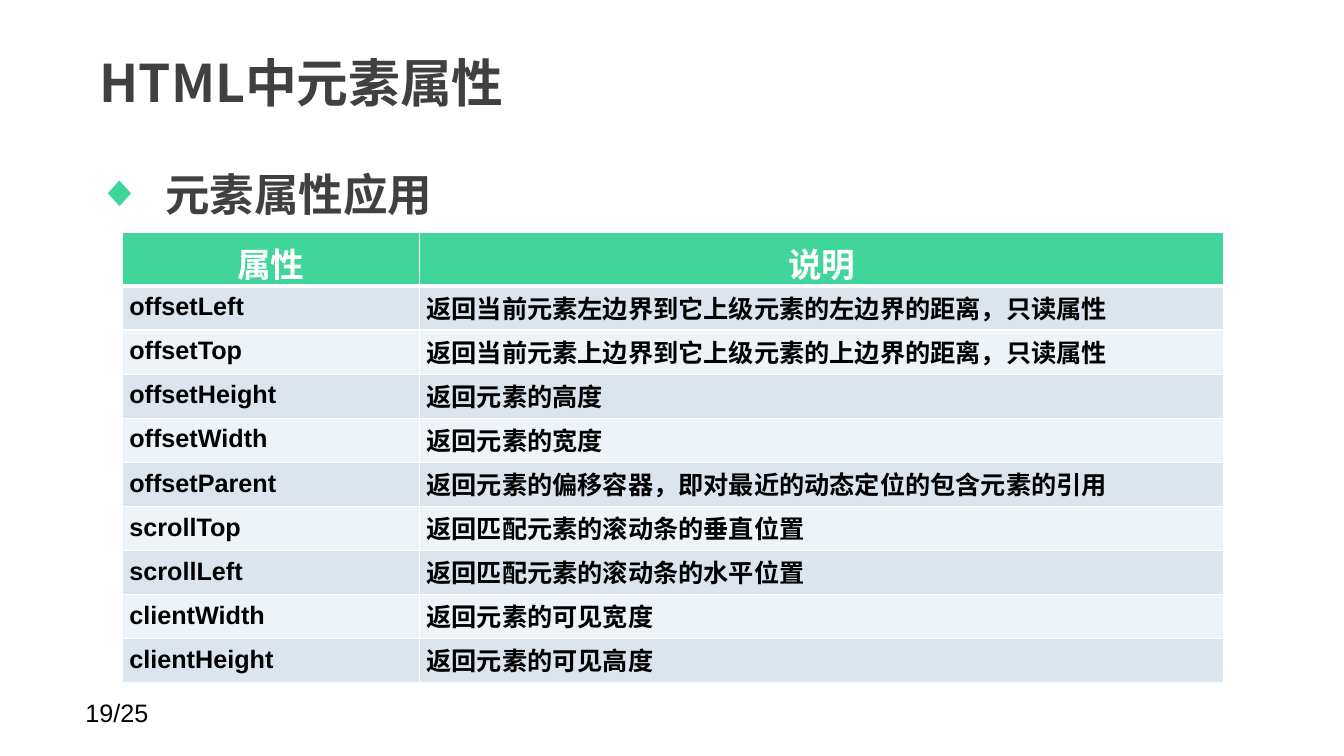
from dataclasses import dataclass

from lxml.etree import SubElement
from pptx import Presentation
from pptx.dml.color import RGBColor as Rgb
from pptx.enum.text import MSO_ANCHOR as Anchor, PP_ALIGN as Align
from pptx.oxml.ns import qn
from pptx.util import Cm, Pt


@dataclass(frozen=True)
class Theme:
    accent: str = "40D59B"
    heading: str = "404040"
    ink: str = "000000"
    white: str = "FFFFFF"
    bands: tuple = ("DCE5EE", "EEF3F7")
    latin: str = "Arial"
    cjk: str = "Noto Sans CJK SC"
    title_size: float = 37
    topic_size: float = 31.8
    header_size: float = 24
    text_size: float = 18


def write(paragraph, text, *, size, color, latin, cjk, bold=False,
          align=None, spacing=None):
    """Put formatted text into a paragraph."""
    run = paragraph.add_run()
    run.text = text
    font = run.font
    font.size, font.bold, font.name = Pt(size), bold, latin
    font.color.rgb = Rgb.from_string(color)
    SubElement(font._element, qn("a:ea")).set("typeface", cjk)
    if align is not None:
        paragraph.alignment = align
    if spacing is not None:
        paragraph.line_spacing = spacing


def add_bullet(paragraph, symbol, color, indent):
    props = paragraph._p.get_or_add_pPr()
    props.set("marL", str(indent))
    props.set("indent", str(-indent))
    tint = SubElement(props, qn("a:buClr"))
    SubElement(tint, qn("a:srgbClr")).set("val", color)
    SubElement(props, qn("a:buFont")).set("typeface", "Arial")
    SubElement(props, qn("a:buChar")).set("char", symbol)


def add_border(cell, side, color, width):
    line = SubElement(cell._tc.get_or_add_tcPr(), qn(f"a:ln{side}"))
    line.set("w", str(Pt(width)))
    fill = SubElement(line, qn("a:solidFill"))
    SubElement(fill, qn("a:srgbClr")).set("val", color)


class SlideBuilder:
    def __init__(self, slide, theme):
        self.slide, self.theme = slide, theme

    def text(self, text, box, *, margins=(0.33, 0.17), anchor=Anchor.TOP,
             bullet=None, **style):
        frame = self.slide.shapes.add_textbox(*map(Cm, box)).text_frame
        frame.word_wrap = True
        frame.vertical_anchor = anchor
        frame.margin_left = frame.margin_right = Cm(margins[0])
        frame.margin_top = frame.margin_bottom = Cm(margins[1])
        line = frame.paragraphs[0]
        write(line, text, cjk=self.theme.cjk, **style)
        if bullet:
            add_bullet(line, bullet, self.theme.accent, Cm(1.7))

    def cell(self, cell, text, *, fill, margins, anchor, rule=1, **style):
        left, top, right, bottom = map(Cm, margins)
        cell.margin_left, cell.margin_top = left, top
        cell.margin_right, cell.margin_bottom = right, bottom
        cell.vertical_anchor = anchor
        for side, width in (("L", 1), ("R", 1), ("T", 1), ("B", rule)):
            add_border(cell, side, self.theme.white, width)
        cell.fill.solid()
        cell.fill.fore_color.rgb = Rgb.from_string(fill)
        write(cell.text_frame.paragraphs[0], text, bold=True,
              latin=self.theme.latin, cjk=self.theme.cjk, **style)

    def table(self, header, rows, left, top, widths, header_height, row_height):
        theme = self.theme
        height = header_height + row_height * len(rows)
        grid = self.slide.shapes.add_table(
            len(rows) + 1, len(header),
            Cm(left), Cm(top), Cm(sum(widths)), Cm(height)).table
        for column, width in zip(grid.columns, widths):
            column.width = Cm(width)

        # Header row
        grid.rows[0].height = Cm(header_height)
        for col, label in enumerate(header):
            self.cell(grid.cell(0, col), label, fill=theme.accent,
                      margins=(0.33, 0.17, 0.33, 0.17), anchor=Anchor.TOP,
                      rule=3, size=theme.header_size, color=theme.white,
                      align=Align.CENTER)

        # Banded rows
        for row, entry in enumerate(rows, start=1):
            grid.rows[row].height = Cm(row_height)
            for col, value in enumerate(entry):
                self.cell(grid.cell(row, col), value,
                          fill=theme.bands[(row - 1) % 2],
                          margins=(0.18, 0, 0.18, 0.05), anchor=Anchor.MIDDLE,
                          size=theme.text_size, color=theme.ink,
                          align=Align.JUSTIFY)


HEADER = ("属性", "说明")
PROPERTIES = (
    ("offsetLeft", "返回当前元素左边界到它上级元素的左边界的距离，只读属性"),
    ("offsetTop", "返回当前元素上边界到它上级元素的上边界的距离，只读属性"),
    ("offsetHeight", "返回元素的高度"),
    ("offsetWidth", "返回元素的宽度"),
    ("offsetParent", "返回元素的偏移容器，即对最近的动态定位的包含元素的引用"),
    ("scrollTop", "返回匹配元素的滚动条的垂直位置"),
    ("scrollLeft", "返回匹配元素的滚动条的水平位置"),
    ("clientWidth", "返回元素的可见宽度"),
    ("clientHeight", "返回元素的可见高度"),
)


def main():
    deck = Presentation()
    deck.slide_width, deck.slide_height = Cm(33.87), Cm(19.05)
    theme = Theme()
    page = SlideBuilder(deck.slides.add_slide(deck.slide_layouts[6]), theme)

    # Page number
    page.text("19/25", (1.9, 17.45, 5.92, 1.02), margins=(0.25, 0.13),
              size=theme.text_size, color=theme.ink, latin=theme.latin)

    # Topic and title
    page.text("元素属性应用", (2.13, 3.63, 29.69, 13.39), bullet="◆",
              size=theme.topic_size, color=theme.heading, latin=theme.cjk,
              bold=True, spacing=1.3)
    page.text("HTML中元素属性", (2.18, 0.76, 26.44, 2.62), anchor=Anchor.MIDDLE,
              size=theme.title_size, color=theme.heading, latin=theme.cjk,
              bold=True)

    # Property table
    page.table(HEADER, PROPERTIES, left=3.08, top=5.85, widths=(7.49, 20.27),
               header_height=1.35, row_height=1.11)

    deck.save("out.pptx")


if __name__ == "__main__":
    main()
